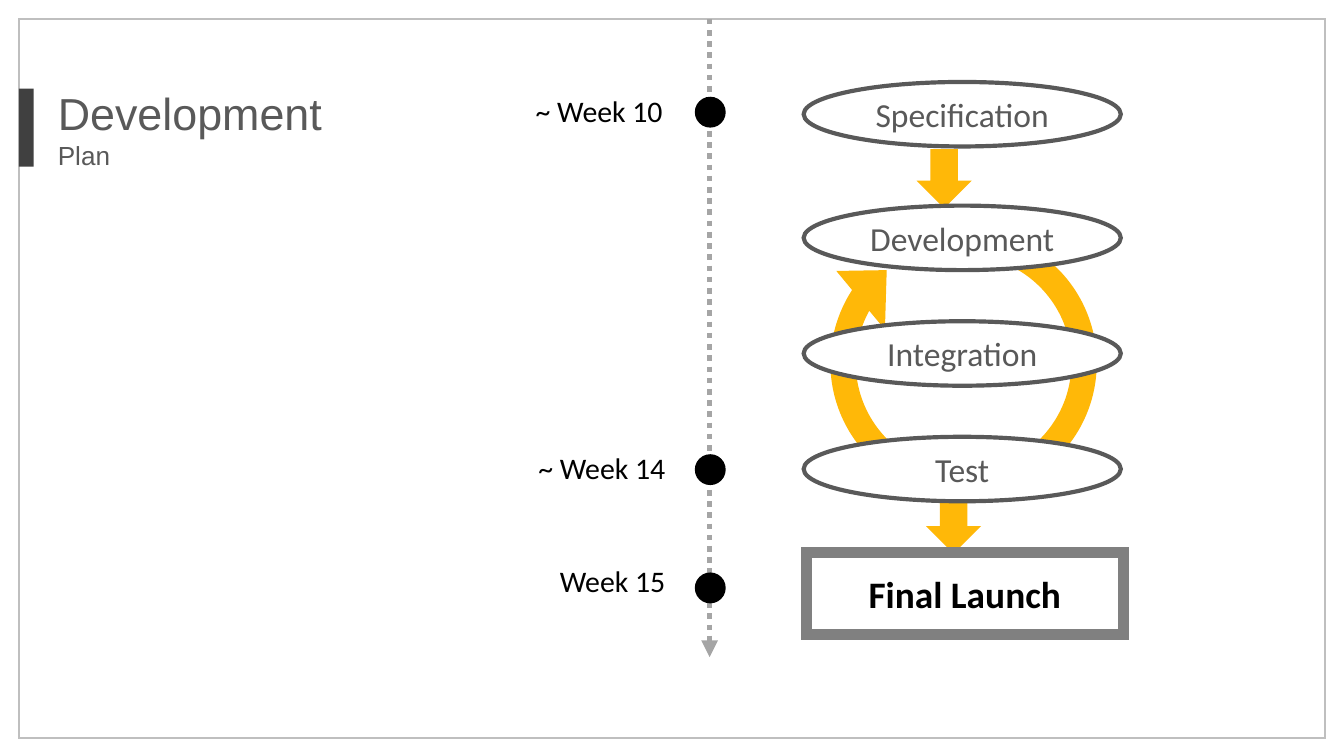
from pptx import Presentation
from pptx.dml.color import RGBColor
from pptx.enum.dml import MSO_LINE
from pptx.enum.shapes import MSO_CONNECTOR, MSO_SHAPE
from pptx.enum.text import MSO_ANCHOR, MSO_AUTO_SIZE, PP_ALIGN
from pptx.oxml.ns import qn
from pptx.util import Inches, Pt
from lxml.etree import SubElement

COLORS = {
    "white": "FFFFFF", "black": "000000", "amber": "FFB808", "text": "595959",
    "bar": "404040", "frame": "BFBFBF", "launch": "808080", "timeline": "A5A5A5",
}


def color(name):
    return RGBColor.from_string(COLORS[name])


class PlanSlide:
    heading_font = "Arial"
    body_font = "Calibri"

    def __init__(self, deck):
        self.page = deck.slides.add_slide(deck.slide_layouts[5])
        self.shapes = self.page.shapes

    def style(self, para, size, ink, font, align, bold=False):
        para.alignment = align
        para.font.name = font
        para.font.size = Pt(size)
        para.font.bold = bold
        para.font.color.rgb = color(ink)

    def title(self, lines, left, top, width, height):
        box = self.shapes.title
        box.left, box.top, box.width, box.height = map(Inches, (left, top, width, height))
        frame = box.text_frame
        frame.auto_size = MSO_AUTO_SIZE.NONE
        frame.vertical_anchor = MSO_ANCHOR.TOP
        frame.text = "\n".join(text for text, size in lines)
        for para, (text, size) in zip(frame.paragraphs, lines):
            self.style(para, size, "text", self.heading_font, PP_ALIGN.LEFT)
            para.space_before = Pt(0)

    def shape(self, kind, left, top, width, height, fill=None, line=None, weight=1):
        shape = self.shapes.add_shape(kind, *map(Inches, (left, top, width, height)))
        shape.shadow.inherit = False
        if fill:
            shape.fill.solid()
            shape.fill.fore_color.rgb = color(fill)
        else:
            shape.fill.background()
        if line:
            shape.line.color.rgb = color(line)
            shape.line.width = Pt(weight)
            SubElement(shape.element.spPr.find(qn("a:ln")), qn("a:miter"), lim="800000")
        else:
            shape.line.fill.background()
        return shape

    def step(self, kind, text, left, top, height, line, weight, size, ink, bold=False):
        box = self.shape(kind, left, top, 2.36, height, "white", line, weight)
        frame = box.text_frame
        frame.vertical_anchor = MSO_ANCHOR.MIDDLE
        frame.text = text
        self.style(frame.paragraphs[0], size, ink, self.body_font, PP_ALIGN.CENTER, bold)

    def label(self, text, left, top):
        box = self.shapes.add_textbox(*map(Inches, (left, top, 1.16, 0.37)))
        frame = box.text_frame
        frame.word_wrap = False
        frame.text = text
        self.style(frame.paragraphs[0], 16, "black", self.body_font, PP_ALIGN.RIGHT)

    def timeline(self, x, top, bottom):
        line = self.shapes.add_connector(
            MSO_CONNECTOR.STRAIGHT, *map(Inches, (x, top, x, bottom)))
        line.line.color.rgb = color("timeline")
        line.line.width = Pt(3)
        line.line.dash_style = MSO_LINE.ROUND_DOT
        properties = line.element.spPr
        SubElement(properties.find(qn("a:ln")), qn("a:tailEnd"), type="triangle")
        SubElement(properties, qn("a:effectLst"))


deck = Presentation()
deck.slide_width = Inches(10)
deck.slide_height = deck.slide_width * 9 // 16
plan = PlanSlide(deck)

for left, top in ((6.89, 3.68), (6.82, 1.11)):
    plan.shape(MSO_SHAPE.DOWN_ARROW, left, top, 0.41, 0.44, "amber")

cycle = plan.shape(MSO_SHAPE.CIRCULAR_ARROW, 5.99, 1.52, 2.36, 2.36, "amber")
cycle.rotation = 229.5
for index, value in enumerate((0.08, 11.42, 205.1, 8.3, 0.12)):
    cycle.adjustments[index] = value

plan.shape(MSO_SHAPE.RECTANGLE, 0.14, 0.14, 9.72, 5.35, line="frame")
plan.shape(MSO_SHAPE.RECTANGLE, 0.14, 0.66, 0.11, 0.58, "bar")
plan.title((("Development", 24), ("Plan", 14)), 0.33, 0.59, 3.04, 0.74)

steps = (("Specification", 0.61), ("Integration", 2.39), ("Test", 3.25), ("Development", 1.53))
for text, top in steps:
    plan.step(MSO_SHAPE.OVAL, text, 5.98, top, 0.48, "text", 2.25, 18, "text")
plan.step(MSO_SHAPE.RECTANGLE, "Final Launch", 6, 4.11, 0.61, "launch", 6, 20, "black", True)

plan.timeline(5.28, 0.14, 4.89)
milestones = (
    ("~ Week 10", 3.87, 0.64, 0.72),
    ("~ Week 14", 3.89, 3.3, 3.38),
    ("Week 15", 3.89, 4.14, 4.26),
)
for text, label_left, label_top, dot_top in milestones:
    plan.shape(MSO_SHAPE.OVAL, 5.17, dot_top, 0.23, 0.23, "black")
    plan.label(text, label_left, label_top)

deck.save("out.pptx")
